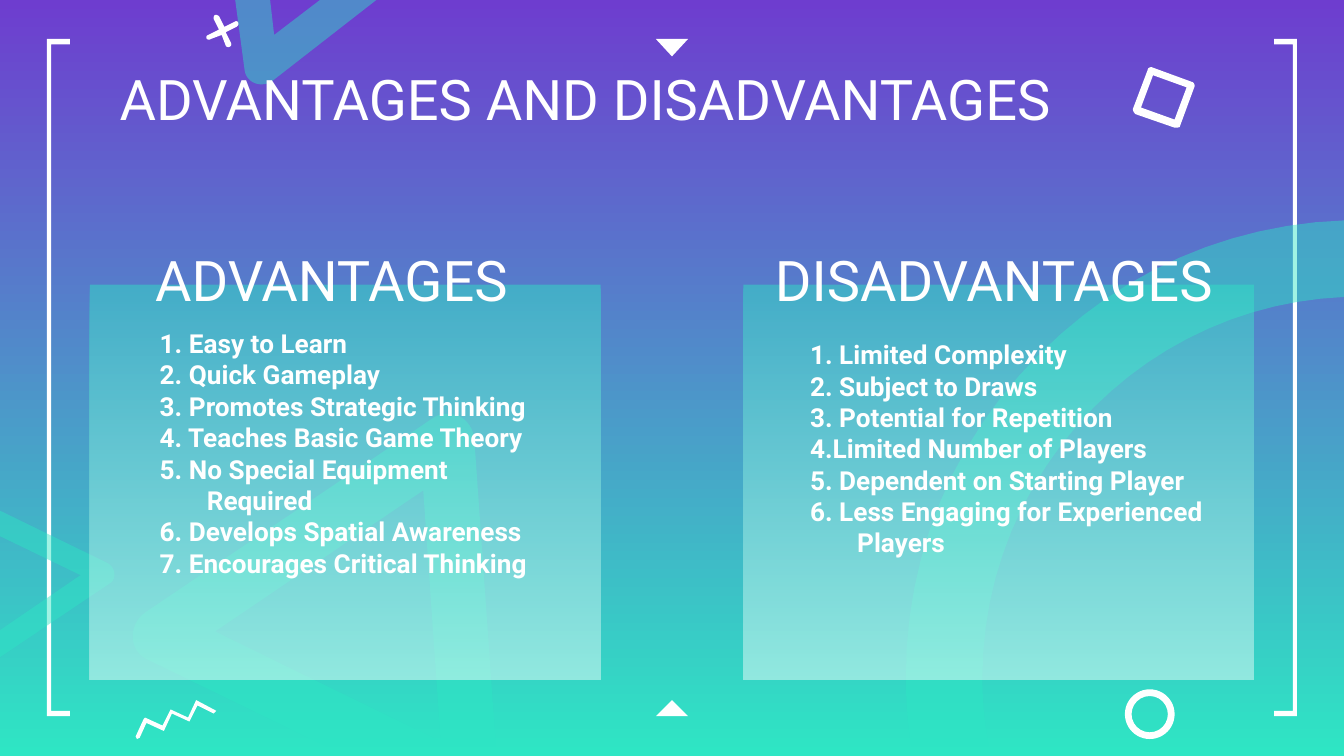
import pptx
import pptx.util
import pptx.dml.color
import pptx.enum.shapes
import pptx.enum.text
import lxml.etree

Cm = pptx.util.Cm
KIND = pptx.enum.shapes.MSO_SHAPE
ANCHOR = pptx.enum.text.MSO_ANCHOR
WHITE, TEAL, PURPLE = "FFFFFF", "2EE6C4", "6E3DCF"


def paint(color, code, alpha=100):
    """Set a colour from a hex string, with its opacity in percent."""
    color.rgb = pptx.dml.color.RGBColor.from_string(code)
    if alpha < 100:
        for node in color._xFill.iter(pptx.oxml.ns.qn("a:srgbClr")) if hasattr(color, "_xFill") else ():
            lxml.etree.SubElement(node, pptx.oxml.ns.qn("a:alpha"), val=str(alpha * 1000))


def draw(loops):
    """Build one outline; a point of six numbers is a Bezier curve. Unit: 2.54 cm."""
    form = None
    for loop in loops:
        dots = [loop[0]]
        for step in loop[1:]:
            if len(step) == 2:
                dots.append(step)
                continue
            a, b, c, d = dots[-1], step[:2], step[2:4], step[4:]
            for i in range(1, 13):
                t = i / 12
                u = 1 - t
                dots.append([u**3 * a[k] + 3 * u * u * t * b[k] + 3 * u * t * t * c[k] + t**3 * d[k]
                             for k in (0, 1)])
        dots = [(Cm(2.54 * x), Cm(2.54 * y)) for x, y in dots]
        if form is None:
            form = shapes.build_freeform(*dots[0], scale=1.0)
        else:
            form.move_to(*dots[0])
        form.add_line_segments(dots[1:], close=True)
    return form.convert_to_shape()


deck = pptx.Presentation()
deck.slide_width, deck.slide_height = Cm(25.4), Cm(14.29)
slide = deck.slides.add_slide(deck.slide_layouts[6])
shapes = slide.shapes

back = slide.background.fill
back.gradient()
back.gradient_angle = 270
for stop, code in zip(back.gradient_stops, (PURPLE, TEAL)):
    paint(stop.color, code)

# Frame and small white signs
bracket = [(0.35, 0.29), (0.35, 5.33), (0.52, 5.33), (0.52, 5.29),
           (0.38, 5.29), (0.38, 0.33), (0.52, 0.33), (0.52, 0.29)]
signs = [
    [bracket],
    [[(10 - x, y) for x, y in bracket]],
    [[(4.88, 0.29), (5, 0.42), (5.12, 0.29)]],
    [[(4.88, 5.33), (5, 5.21), (5.12, 5.33)]],
    # Tilted square
    [[(8.58, 0.56), (8.83, 0.65), (8.74, 0.89), (8.49, 0.8)],
     [(8.57, 0.5), (8.55, 0.5, 8.54, 0.51, 8.54, 0.52), (8.43, 0.81),
      (8.43, 0.83, 8.44, 0.84, 8.45, 0.85), (8.74, 0.95),
      (8.76, 0.95, 8.78, 0.95, 8.78, 0.94), (8.89, 0.64),
      (8.89, 0.63, 8.88, 0.61, 8.87, 0.61)]],
    # Cross
    [[(1.61, 0.11), (1.59, 0.11, 1.59, 0.13, 1.59, 0.14), (1.63, 0.22), (1.55, 0.26),
      (1.52, 0.27, 1.54, 0.31, 1.57, 0.29), (1.65, 0.26), (1.68, 0.34),
      (1.69, 0.36, 1.73, 0.35, 1.72, 0.32), (1.68, 0.24), (1.76, 0.2),
      (1.79, 0.18, 1.77, 0.15, 1.75, 0.16), (1.67, 0.2), (1.63, 0.12)]],
    # Zigzag
    [[(1.07, 5.35), (1.01, 5.48), (1.02, 5.5), (1.04, 5.49), (1.09, 5.38), (1.22, 5.44),
      (1.28, 5.31), (1.41, 5.37), (1.47, 5.25), (1.59, 5.31), (1.61, 5.29), (1.46, 5.21),
      (1.4, 5.34), (1.27, 5.28), (1.21, 5.4), (1.08, 5.34)]],
]
bands = [
    # Left arrow
    [[(0, 4.89), (0, 4.69), (0.6, 4.28), (0, 3.99), (0, 3.8), (0.8, 4.19),
      (0.86, 4.22, 0.87, 4.31, 0.82, 4.34)]],
    # Right arc
    [[(10, 1.64), (9.14, 1.67, 8.35, 2.02, 7.74, 2.63), (7.09, 3.27, 6.74, 4.13, 6.74, 5.04),
      (6.74, 5.24, 6.76, 5.43, 6.79, 5.62), (7.37, 5.62),
      (7.33, 5.43, 7.31, 5.24, 7.31, 5.04), (7.31, 4.28, 7.61, 3.57, 8.14, 3.03),
      (8.64, 2.53, 9.3, 2.24, 10, 2.21)]],
    # Triangle
    [[(3.15, 3.65), (1.6, 4.7), (3.28, 5.52)],
     [(3.33, 3.08), (3.44, 3.08, 3.52, 3.16, 3.53, 3.27), (3.71, 5.84),
      (3.71, 5.87, 3.71, 5.91, 3.7, 5.94), (3.22, 5.94), (1.1, 4.91),
      (0.96, 4.85, 0.95, 4.65, 1.08, 4.56), (3.21, 3.12), (3.25, 3.09, 3.29, 3.08, 3.33, 3.08)]],
    # Top corner
    [[(2.8, 0), (2.03, 0.6), (1.95, 0.66, 1.83, 0.62, 1.82, 0.52), (1.75, 0),
      (2.01, 0), (2.04, 0.26), (2.38, 0)]],
]
ring = shapes.add_shape(KIND.DONUT, Cm(21.26), Cm(13.03), Cm(0.94), Cm(0.94))
ring.adjustments[0] = 0.135
looks = [(draw(sign), WHITE, 100) for sign in signs] + [(ring, WHITE, 100)]
looks += [(draw(band), TEAL, 45) for band in bands]
for shape, code, alpha in looks:
    shape.shadow.inherit = False
    shape.line.fill.background()
    shape.fill.solid()
    paint(shape.fill.fore_color, code, alpha)

# Panels
for left in (1.7, 14.05):
    panel = shapes.add_shape(KIND.ROUNDED_RECTANGLE, Cm(left), Cm(5.38), Cm(9.65), Cm(7.47))
    panel.adjustments[0] = 0
    panel.shadow.inherit = False
    panel.line.fill.background()
    panel.fill.gradient()
    panel.fill.gradient_angle = 270
    for stop, code in zip(panel.fill.gradient_stops, (TEAL, WHITE)):
        paint(stop.color, code, 45)

# Text
pros = ["1. Easy to Learn", "2. Quick Gameplay", "3. Promotes Strategic Thinking",
        "4. Teaches Basic Game Theory", "5. No Special Equipment Required",
        "6. Develops Spatial Awareness", "7. Encourages Critical Thinking"]
cons = ["1. Limited Complexity", "2. Subject to Draws", "3. Potential for Repetition",
        "4.Limited Number of Players", "5. Dependent on Starting Player",
        "6. Less Engaging for Experienced Players"]
texts = [
    ("title", (2.01, 0.97, 20.19, 2.31), ["ADVANTAGES AND DISADVANTAGES"]),
    ("head", (1.78, 3.76, 8.97, 2.16), ["ADVANTAGES"]),
    ("head", (14.3, 3.76, 8.97, 2.16), ["DISADVANTAGES"]),
    ("list", (2.39, 5.94, 8.13, 6.15), pros),
    ("list", (14.68, 6.15, 8.33, 6.35), cons),
]
for role, spot, lines in texts:
    frame = shapes.add_textbox(*map(Cm, spot)).text_frame
    frame.word_wrap = True
    frame.margin_left = frame.margin_right = Cm(0.25)
    frame.margin_top = frame.margin_bottom = Cm(0 if role == "head" else 0.25)
    frame.vertical_anchor = ANCHOR.BOTTOM if role == "head" else ANCHOR.TOP
    frame.text = "\n".join(lines)
    for para in frame.paragraphs:
        para.font.name = "Roboto"
        para.font.size = pptx.util.Pt(14 if role == "list" else 30)
        para.font.bold = role == "list"
        paint(para.font.color, WHITE)
        if role == "head":
            para.alignment = pptx.enum.text.PP_ALIGN.CENTER
        if role == "list":
            props = para._p.get_or_add_pPr()
            props.set("marL", str(Cm(1.27)))
            props.set("indent", str(Cm(-0.89)))

deck.save("out.pptx")
